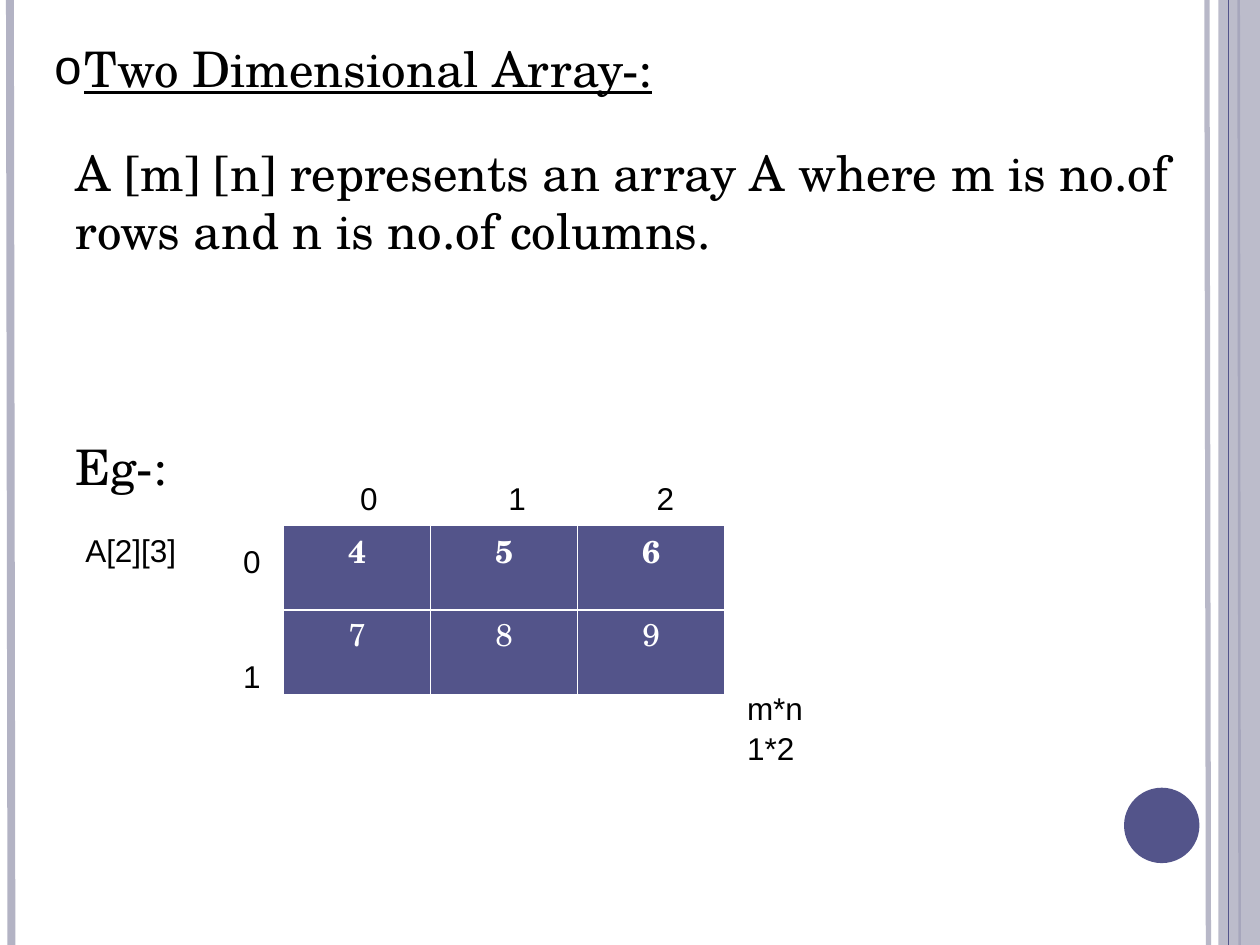
"""Build the slide that explains a two dimensional array."""
from dataclasses import dataclass
from typing import Any, Optional

from lxml.etree import SubElement
from pptx import Presentation
from pptx.dml.color import RGBColor
from pptx.enum.shapes import MSO_CONNECTOR, MSO_SHAPE
from pptx.enum.text import MSO_ANCHOR, MSO_AUTO_SIZE, PP_ALIGN
from pptx.oxml.ns import qn
from pptx.util import Cm, Pt

COLORS = {"text": "000000", "white": "FFFFFF", "accent": "53548A", "band": "B3B3C4"}
SERIF, SANS = "TeX Gyre Schola", "Arial"
PAGE_HEIGHT = 19.05


@dataclass
class Stripe:
    start: float
    end: float
    color: str
    width: float
    opacity: Optional[int] = None


@dataclass
class Label:
    left: float
    top: float
    width: float
    height: float
    lines: list[str]
    gap: float = 0
    tabs: tuple[float, ...] = ()
    font: str = SANS
    size: int = 18


BACK_STRIPES = [
    Stripe(24.33, 24.36, "band", 3, 93),
    Stripe(0.2, 0.23, "band", 4.5),
    Stripe(24.97, 24.99, "accent", 1.5),
]
FRONT_STRIPE = Stripe(24.77, 24.77, "accent", 0.75)
LABELS = [
    Label(1.27, 2.74, 22.86, 10.95,
          ["A [m] [n] represents an array A where m is no.of rows and n is no.of columns.",
           "Eg-:"], gap=101, font=SERIF, size=28),
    Label(6.15, 9.53, 8.46, 1.02, ["\t0\t1\t2"], tabs=(0.86, 3.85, 6.84)),
    Label(4.65, 10.8, 1.07, 3.3, ["0", "1"], gap=44),
    Label(1.47, 10.59, 2.54, 1.02, ["A[2][3]"]),
    Label(14.81, 13.77, 2.97, 1.78, ["m*n", "1*2"], gap=1),
]
ARRAY = [["4", "5", "6"], ["7", "8", "9"]]


def color(name: str) -> RGBColor:
    return RGBColor.from_string(COLORS[name])


def set_opacity(element: Any, percent: int) -> None:
    for hue in element.iter(qn("a:srgbClr")):
        SubElement(hue, qn("a:alpha"), val=str(percent * 1000))


def add_span(paragraph: Any, text: str, hue: str, **formats: Any) -> None:
    span = paragraph.add_run()
    span.text = text
    for name, value in formats.items():
        setattr(span.font, name, value)
    span.font.color.rgb = color(hue)


def draw_stripe(page: Any, stripe: Stripe) -> None:
    line = page.shapes.add_connector(
        MSO_CONNECTOR.STRAIGHT, Cm(stripe.start), Cm(0), Cm(stripe.end), Cm(PAGE_HEIGHT))
    line.line.color.rgb = color(stripe.color)
    line.line.width = Pt(stripe.width)
    properties = line._element.spPr
    if stripe.opacity is not None:
        set_opacity(properties, stripe.opacity)
    SubElement(properties, qn("a:effectLst"))


def draw_shape(page: Any, kind: MSO_SHAPE, place: tuple[float, ...], hue: str) -> Any:
    shape = page.shapes.add_shape(kind, *map(Cm, place))
    shape.shadow.inherit = False
    shape.fill.solid()
    shape.fill.fore_color.rgb = color(hue)
    shape.line.fill.background()
    return shape


def draw_title(page: Any, text: str) -> None:
    title = page.shapes.title
    place = {"left": 0.84, "top": 0.64, "width": 19.69, "height": 1.45}
    for name, value in place.items():
        setattr(title, name, Cm(value))
    frame = title.text_frame
    settings = {"word_wrap": True, "auto_size": MSO_AUTO_SIZE.NONE,
                "vertical_anchor": MSO_ANCHOR.TOP}
    for name, value in settings.items():
        setattr(frame, name, value)
    paragraph = frame.paragraphs[0]
    paragraph.alignment = PP_ALIGN.LEFT
    properties = paragraph._p.get_or_add_pPr()
    bullet_color = SubElement(properties, qn("a:buClr"))
    SubElement(bullet_color, qn("a:srgbClr"), val=COLORS["text"])
    SubElement(properties, qn("a:buFont"), typeface=SANS)
    SubElement(properties, qn("a:buChar"), char="o")
    add_span(paragraph, text, "text", name=SERIF, size=Pt(28), underline=True)


def draw_label(page: Any, label: Label) -> None:
    box = page.shapes.add_textbox(
        Cm(label.left), Cm(label.top), Cm(label.width), Cm(label.height))
    frame = box.text_frame
    frame.word_wrap = True
    for index, text in enumerate(label.lines):
        paragraph = frame.add_paragraph() if index else frame.paragraphs[0]
        if index:
            paragraph.space_before = Pt(label.gap)
        if label.tabs:
            stops = SubElement(paragraph._p.get_or_add_pPr(), qn("a:tabLst"))
            for position in label.tabs:
                SubElement(stops, qn("a:tab"), pos=str(Cm(position)), algn="l")
        add_span(paragraph, text, "text", name=label.font, size=Pt(label.size))


def add_border(cell: Any, side: str, width: float) -> None:
    border = SubElement(cell._tc.get_or_add_tcPr(), qn(f"a:ln{side}"), w=str(Pt(width)))
    fill = SubElement(border, qn("a:solidFill"))
    SubElement(fill, qn("a:srgbClr"), val=COLORS["white"])


def draw_array(page: Any, values: list[list[str]]) -> None:
    table = page.shapes.add_table(
        len(values), len(values[0]), Cm(5.72), Cm(10.59), Cm(8.89), Cm(3.4)).table
    for row, numbers in enumerate(values):
        inner_side = "T" if row else "B"
        for column, number in enumerate(numbers):
            cell = table.cell(row, column)
            for side in "LRTB":
                add_border(cell, side, 1.47 if side == inner_side else 0.45)
            cell.fill.solid()
            cell.fill.fore_color.rgb = color("accent")
            paragraph = cell.text_frame.paragraphs[0]
            paragraph.alignment = PP_ALIGN.CENTER
            paragraph.line_spacing = 0.82
            add_span(paragraph, number, "white", name=SERIF, size=Pt(18), bold=row == 0)


def main() -> None:
    deck = Presentation()
    deck.slide_width, deck.slide_height = Cm(25.4), Cm(PAGE_HEIGHT)
    page = deck.slides.add_slide(deck.slide_layouts.get_by_name("Title Only"))
    for stripe in BACK_STRIPES:
        draw_stripe(page, stripe)
    band = draw_shape(page, MSO_SHAPE.RECTANGLE, (24.56, 0, 0.84, PAGE_HEIGHT), "band")
    set_opacity(band._element.spPr, 87)
    draw_stripe(page, FRONT_STRIPE)
    draw_shape(page, MSO_SHAPE.OVAL, (22.66, 15.88, 1.52, 1.52), "accent")
    draw_title(page, "Two Dimensional Array-:")
    draw_array(page, ARRAY)
    for label in LABELS:
        draw_label(page, label)
    deck.save("out.pptx")


if __name__ == "__main__":
    main()
